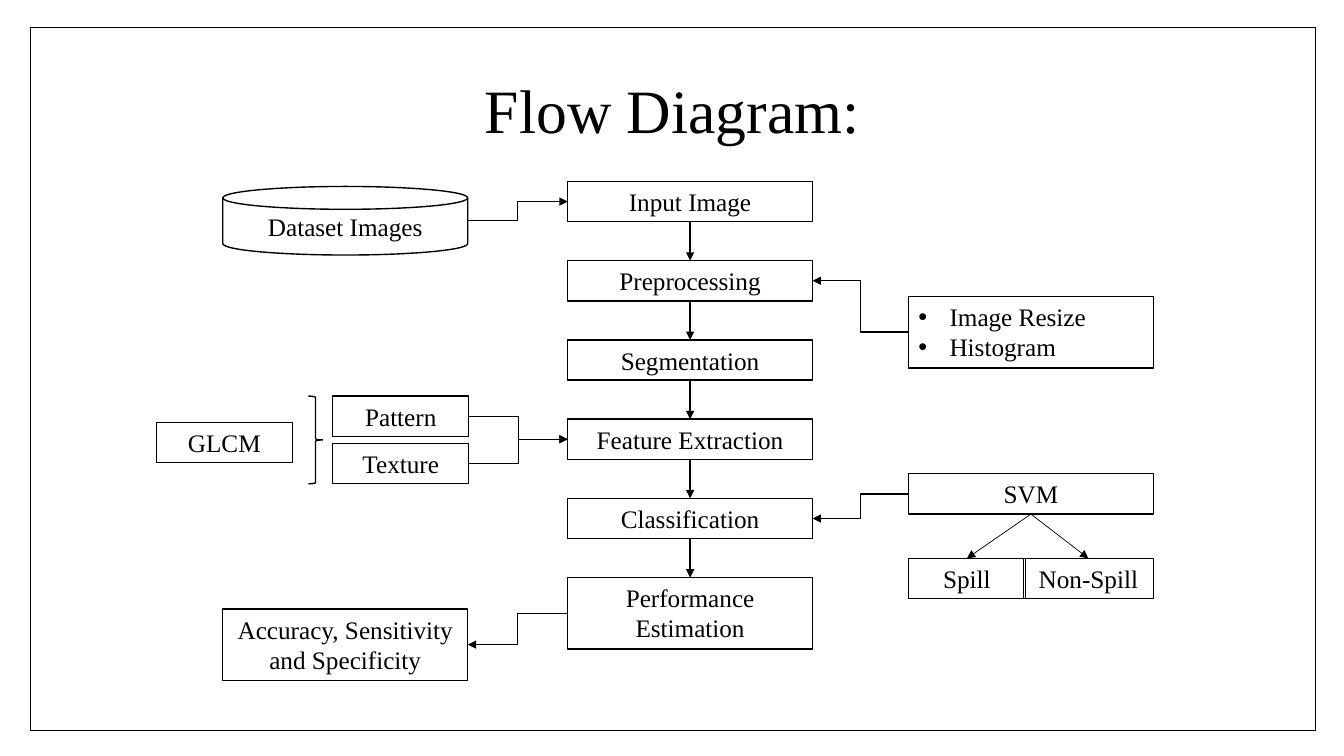
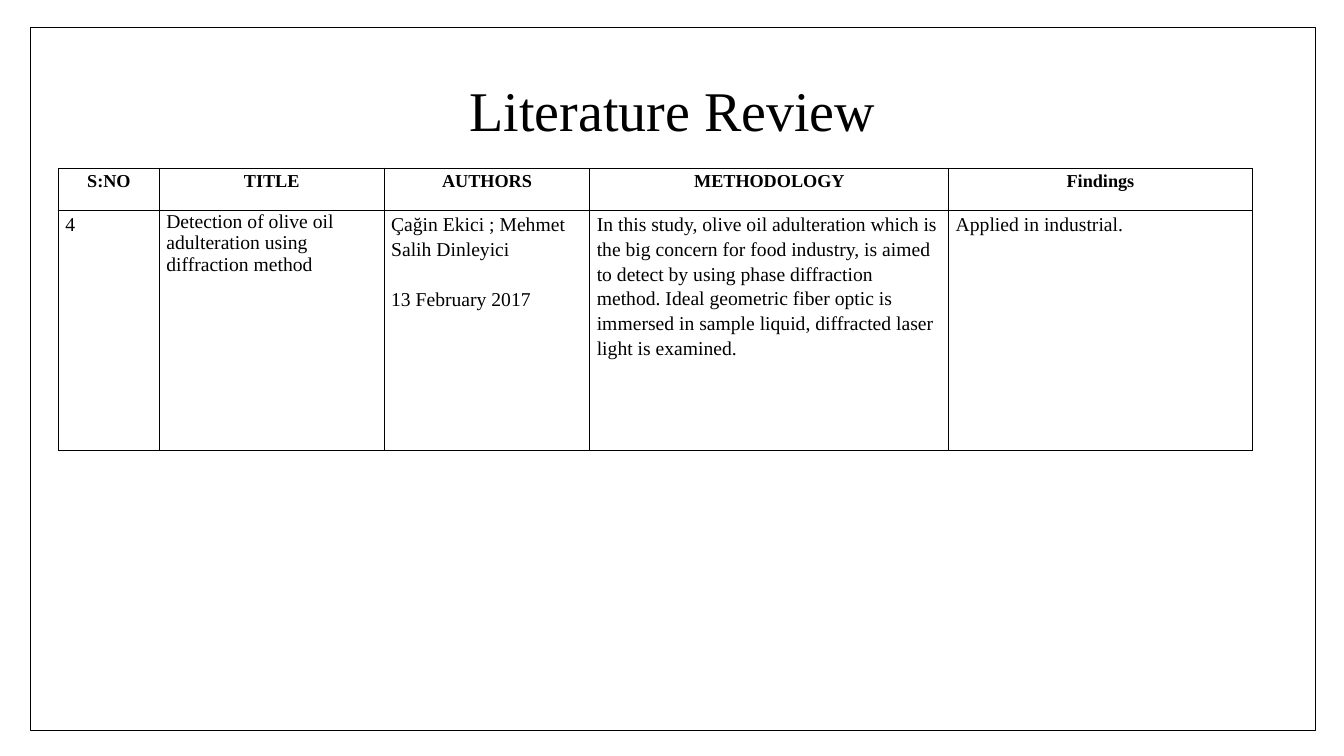
from collections import namedtuple

from lxml.etree import SubElement
from pptx import Presentation
from pptx.dml.color import RGBColor
from pptx.enum.shapes import MSO_CONNECTOR as Route, MSO_SHAPE as Form
from pptx.enum.text import MSO_ANCHOR as Anchor, PP_ALIGN as Align
from pptx.oxml.ns import qn
from pptx.util import Inches, Pt

COLORS = {"ink": "000000", "paper": "FFFFFF"}
FONT = "Times New Roman"
TOP, LEFT, BOTTOM, RIGHT = range(4)

Box = namedtuple("Box", "left top width height")
FRAME = Box(0.3, 0.27, 12.75, 6.98)
TITLE = Box(0.92, 0.4, 11.5, 1.45)
FLOW = Box(1.55, 1.8, 9.89, 4.95)
REVIEW = Box(0.58, 1.67, 11.84, 2.8)


def color(name):
    return RGBColor.from_string(COLORS[name])


def inches(box):
    return [Inches(value) for value in box]


def inside(region, left, top, width, height):
    return Box(region.left + left, region.top + top, width, height)


def set_all(target, values):
    for name, value in values.items():
        setattr(target, name, value)


def write(frame, lines, size, bold=False, **para_format):
    frame.word_wrap = True
    for index, line in enumerate(lines):
        para = frame.add_paragraph() if index else frame.paragraphs[0]
        set_all(para, para_format)
        span = para.add_run()
        span.text = line
        set_all(span.font, {"name": FONT, "size": Pt(size), "bold": bold})
        span.font.color.rgb = color("ink")


def outline(line, width=1):
    line.color.rgb = color("ink")
    line.width = Pt(width)


def add_node(page, box, lines=(), form=Form.RECTANGLE, anchor=Anchor.TOP,
             align=Align.CENTER):
    node = page.shapes.add_shape(form, *inches(box))
    node.shadow.inherit = False
    node.fill.background()
    outline(node.line)
    node.text_frame.vertical_anchor = anchor
    write(node.text_frame, lines, 18, alignment=align)
    return node


def add_bullets(node):
    for para in node.text_frame.paragraphs:
        props = para._p.get_or_add_pPr()
        props.set("marL", str(Inches(0.31)))
        props.set("indent", str(-Inches(0.31)))
        SubElement(props, qn("a:buFont")).set("typeface", "Arial")
        SubElement(props, qn("a:buChar")).set("char", "\u2022")


def side_point(node, side):
    middle_x = node.left + node.width // 2
    middle_y = node.top + node.height // 2
    return {
        TOP: (middle_x, node.top),
        LEFT: (node.left, middle_y),
        BOTTOM: (middle_x, node.top + node.height),
        RIGHT: (node.left + node.width, middle_y),
    }[side]


def add_arrow(page, start, start_side, end, end_side, route=Route.ELBOW, width=1):
    arrow = page.shapes.add_connector(
        route, *side_point(start, start_side), *side_point(end, end_side))
    if start.auto_shape_type == Form.RECTANGLE:
        arrow.begin_connect(start, start_side)
    arrow.end_connect(end, end_side)
    outline(arrow.line, width)
    SubElement(arrow.line._get_or_add_ln(), qn("a:tailEnd")).set("type", "triangle")
    SubElement(arrow._element.spPr, qn("a:effectLst"))


def add_page(deck, title, size):
    page = deck.slides.add_slide(deck.slide_layouts[6])
    page.background.fill.solid()
    page.background.fill.fore_color.rgb = color("paper")
    add_node(page, FRAME)
    frame = page.shapes.add_textbox(*inches(TITLE)).text_frame
    frame.vertical_anchor = Anchor.MIDDLE
    write(frame, [title], size, alignment=Align.CENTER, line_spacing=0.9)
    return page


def add_stages(page, region):
    names = ["Input Image", "Preprocessing", "Segmentation", "Feature Extraction",
             "Classification", "Performance Estimation"]
    last = len(names) - 1
    pitch = 3.93 / last
    stages = [
        add_node(page, inside(region, 4.08, index * pitch, 2.43,
                              0.71 if index == last else 0.4), [name])
        for index, name in enumerate(names)
    ]
    for upper, lower in zip(stages, stages[1:]):
        add_arrow(page, upper, BOTTOM, lower, TOP, Route.STRAIGHT)
    return stages


def add_flow(page, region):
    source, cleaning, _, features, classes, results = add_stages(page, region)

    dataset = add_node(page, inside(region, 0.66, 0.05, 2.43, 0.68), ["Dataset Images"],
                       Form.FLOWCHART_MAGNETIC_DISK, Anchor.MIDDLE)
    add_arrow(page, dataset, RIGHT, source, LEFT)

    steps = add_node(page, inside(region, 7.46, 1.14, 2.43, 0.71),
                     ["Image Resize", "Histogram"], align=Align.LEFT)
    add_bullets(steps)
    add_arrow(page, steps, LEFT, cleaning, RIGHT)

    add_node(page, inside(region, 0, 2.39, 1.35, 0.4), ["GLCM"])
    add_node(page, inside(region, 1.51, 2.13, 0.14, 0.87), form=Form.RIGHT_BRACE)
    for name, top in (("Pattern", 2.13), ("Texture", 2.6)):
        feature = add_node(page, inside(region, 1.75, top, 1.35, 0.4), [name])
        add_arrow(page, feature, RIGHT, features, LEFT)

    svm = add_node(page, inside(region, 7.46, 2.9, 2.43, 0.4), ["SVM"])
    add_arrow(page, svm, LEFT, classes, RIGHT)
    for name, left, width in (("Spill", 7.46, 1.16), ("Non-Spill", 8.6, 1.29)):
        label = add_node(page, inside(region, left, 3.74, width, 0.4), [name])
        add_arrow(page, svm, BOTTOM, label, TOP, Route.STRAIGHT, 0.5)

    scores = add_node(page, inside(region, 0.66, 4.24, 2.43, 0.71),
                      ["Accuracy, Sensitivity and Specificity"])
    add_arrow(page, results, LEFT, scores, RIGHT)


def add_borders(cell):
    props = cell._tc.get_or_add_tcPr()
    for edge in ("lnL", "lnR", "lnT", "lnB"):
        border = SubElement(props, qn("a:" + edge))
        border.set("w", str(Pt(1)))
        fill = SubElement(border, qn("a:solidFill"))
        SubElement(fill, qn("a:srgbClr")).set("val", COLORS["ink"])


def add_review(page, region):
    headings = ["S:NO", "TITLE", "AUTHORS", "METHODOLOGY", "Findings"]
    entry = [
        ["4"],
        ["Detection of olive oil adulteration using diffraction method"],
        ["Çağin Ekici ; Mehmet Salih Dinleyici", "13 February 2017"],
        ["In this study, olive oil adulteration which is the big concern for food "
         "industry, is aimed to detect by using phase diffraction method. Ideal "
         "geometric fiber optic is immersed in sample liquid, diffracted laser "
         "light is examined."],
        ["Applied in industrial."],
    ]
    table = page.shapes.add_table(2, len(headings), *inches(region)).table
    set_all(table, {"first_row": False, "horz_banding": False})
    for column, width in zip(table.columns, (1, 2.23, 2.04, 3.56, 3.01)):
        column.width = Inches(width)
    for row, height in zip(table.rows, (0.42, 2.38)):
        row.height = Inches(height)
    for cell in table.iter_cells():
        set_all(cell, {"margin_left": Inches(0.07), "margin_right": Inches(0.07),
                       "margin_top": 0, "margin_bottom": 0})
        add_borders(cell)
        cell.fill.background()
    for index, (heading, lines) in enumerate(zip(headings, entry)):
        write(table.cell(0, index).text_frame, [heading], 13, bold=True,
              alignment=Align.CENTER, line_spacing=1.15)
        spacing = 1.0 if heading == "TITLE" else 1.15
        write(table.cell(1, index).text_frame, lines, 14, line_spacing=spacing)
    date = table.cell(1, headings.index("AUTHORS")).text_frame.paragraphs[-1]
    date.space_before = Pt(18)


deck = Presentation()
set_all(deck, {"slide_width": Inches(13.33), "slide_height": Inches(7.5)})
add_flow(add_page(deck, "Flow Diagram:", 44), FLOW)
add_review(add_page(deck, "Literature Review", 40), REVIEW)
deck.save("out.pptx")
